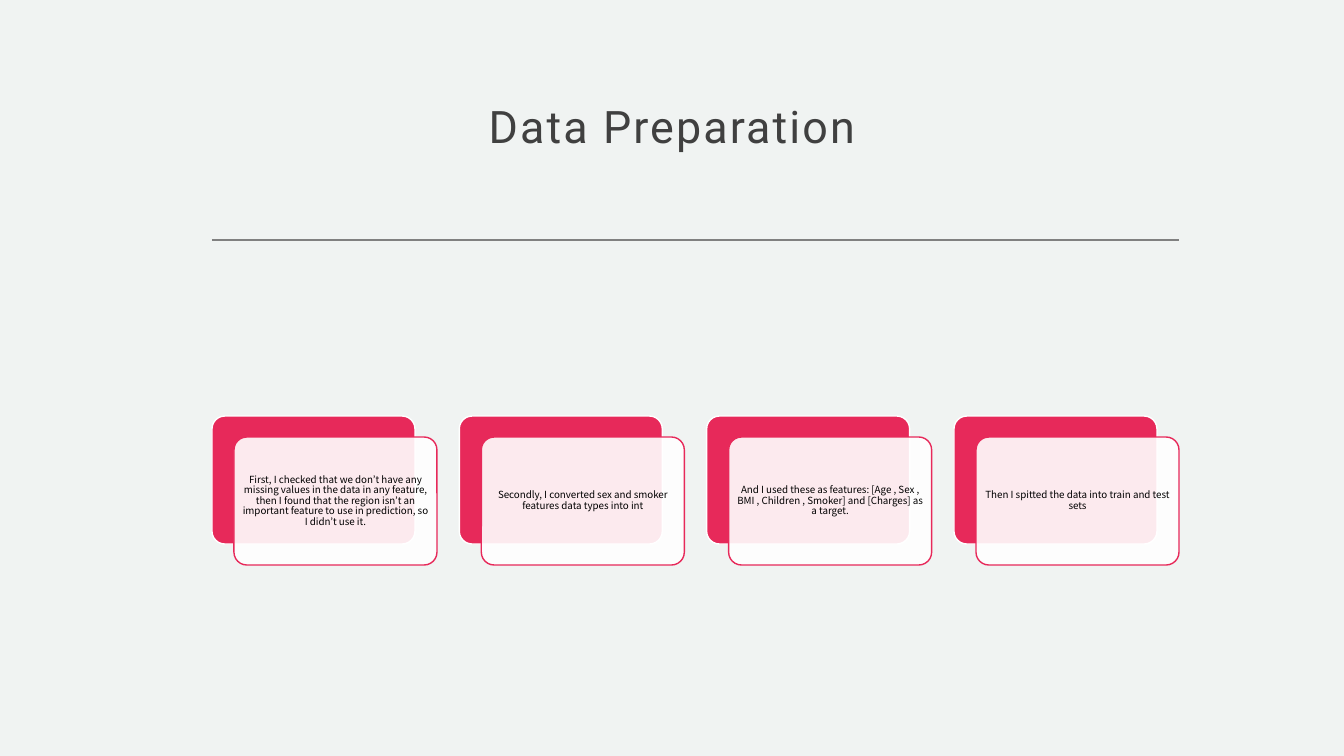
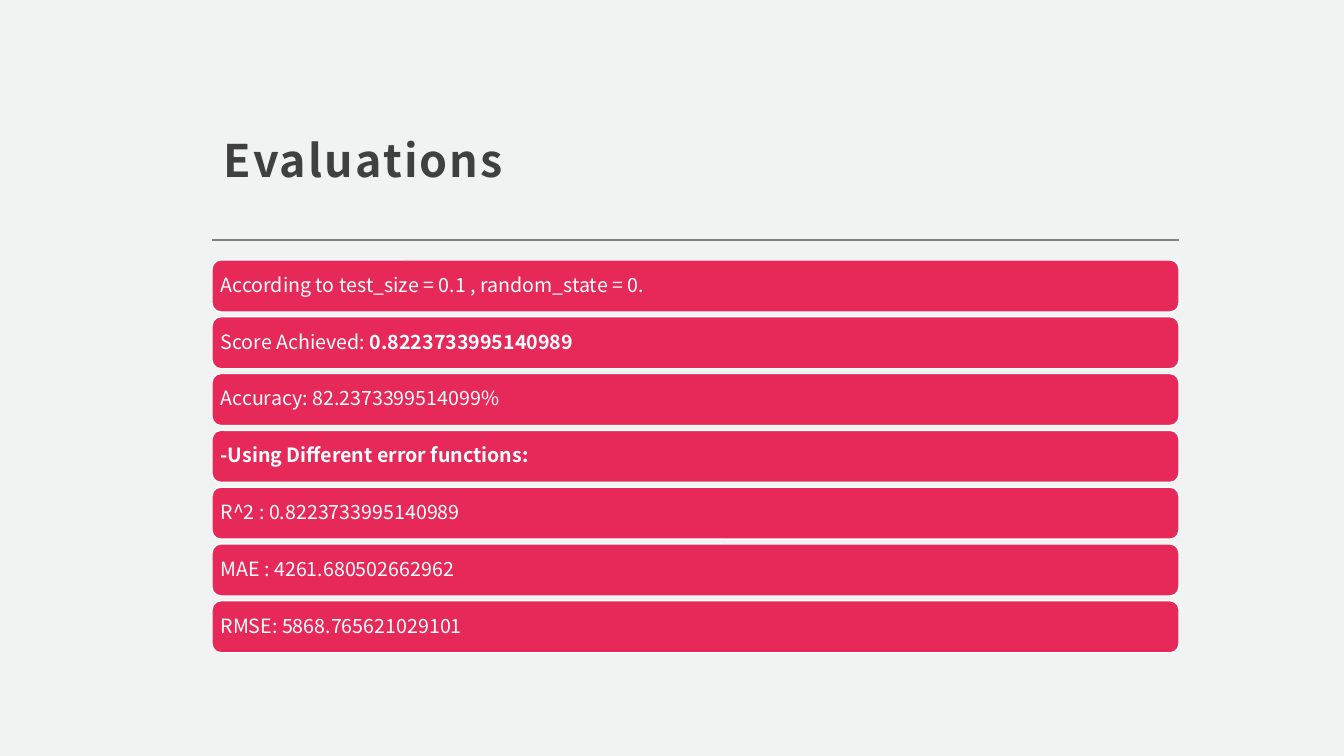
import pptx
import pptx.util
import pptx.dml.color
import pptx.enum.shapes
import pptx.enum.text
import pptx.oxml.ns
import lxml.etree

EMU_PER_PIXEL = 914400 / 100.8
BACKGROUND, ACCENT, WHITE = "F0F3F2", "E7295A", "FFFFFF"
TITLE_COLOR, RULE_COLOR, BLACK = "404040", "808080", "000000"
BODY_FONT, TITLE_FONT = "Noto Sans CJK JP", "Roboto"
LEFT, WIDTH, RULE_Y = 212, 967, 240
ALIGN = pptx.enum.text.PP_ALIGN
ANCHOR = pptx.enum.text.MSO_ANCHOR

PREPARATION_STEPS = [
    "First, I checked that we don’t have any missing values in the data in any feature, "
    "then I found that the region isn’t an important feature to use in prediction, "
    "so I didn’t use it.",
    "Secondly, I converted sex and smoker features data types into int",
    "And I used these as features: [Age , Sex , BMI , Children , Smoker] "
    "and [Charges] as a target.",
    "Then I spitted the data into train and test sets",
]
# Each result is a list of (text, bold) runs.
RESULTS = [
    [("According to test_size = 0.1 , random_state = 0.", False)],
    [("Score Achieved: ", False), ("0.8223733995140989", True)],
    [("Accuracy: 82.2373399514099%", False)],
    [("-Using Different error functions:", True)],
    [("R^2 : 0.8223733995140989", False)],
    [("MAE : 4261.680502662962", False)],
    [("RMSE: 5868.765621029101", False)],
]


def px(*lengths):
    """Convert pixel lengths to a list of EMU lengths."""
    return [pptx.util.Emu(round(length * EMU_PER_PIXEL)) for length in lengths]


def rgb(color):
    """Turn a hex string into a colour."""
    return pptx.dml.color.RGBColor.from_string(color)


def write(shape, runs, size, color, font=BODY_FONT, align=ALIGN.LEFT,
          anchor=ANCHOR.MIDDLE, insets=(6, 6, 6, 6), leading=0.9, tracking=0):
    """Write one paragraph of (text, bold) runs into a shape."""
    frame = shape.text_frame
    frame.word_wrap = True
    frame.vertical_anchor = anchor
    (frame.margin_left, frame.margin_top,
     frame.margin_right, frame.margin_bottom) = px(*insets)
    paragraph = frame.paragraphs[0]
    paragraph.alignment = align
    paragraph.line_spacing = leading
    for text, bold in runs:
        run = paragraph.add_run()
        run.text = text
        run.font.name = font
        run.font.size = pptx.util.Pt(size)
        run.font.bold = bold
        run.font.color.rgb = rgb(color)
        if tracking:
            run.font._element.set("spc", str(round(tracking * 100)))


def add_panel(slide, box, fill, line, corner, opacity=100):
    """Add a rounded rectangle with a 1 pt outline."""
    panel = slide.shapes.add_shape(
        pptx.enum.shapes.MSO_SHAPE.ROUNDED_RECTANGLE, *px(*box))
    panel.shadow.inherit = False
    panel.adjustments[0] = corner
    panel.fill.solid()
    panel.fill.fore_color.rgb = rgb(fill)
    panel.line.color.rgb = rgb(line)
    panel.line.width = pptx.util.Pt(1)
    if opacity < 100:
        fill_color = panel._element.spPr.find(
            pptx.oxml.ns.qn("a:solidFill") + "/" + pptx.oxml.ns.qn("a:srgbClr"))
        alpha = lxml.etree.SubElement(fill_color, pptx.oxml.ns.qn("a:alpha"))
        alpha.set("val", str(opacity * 1000))
    return panel


def add_rule(slide):
    """Add the grey line below the title."""
    rule = slide.shapes.add_connector(
        pptx.enum.shapes.MSO_CONNECTOR.STRAIGHT,
        *px(LEFT, RULE_Y, LEFT + WIDTH, RULE_Y))
    rule.line.color.rgb = rgb(RULE_COLOR)
    rule.line.width = pptx.util.Pt(2)
    lxml.etree.SubElement(rule._element.spPr, pptx.oxml.ns.qn("a:effectLst"))


def add_titled_slide(deck, title, box, bold=False, **text_format):
    """Add a slide with the shared background, rule and title style."""
    slide = deck.slides.add_slide(deck.slide_layouts[6])
    slide.background.fill.solid()
    slide.background.fill.fore_color.rgb = rgb(BACKGROUND)
    add_rule(slide)
    write(slide.shapes.add_textbox(*px(*box)), [(title, bold)], 32, TITLE_COLOR,
          insets=(12, 12, 12, 10), leading=1.3, tracking=1.5, **text_format)
    return slide


def add_step_cards(slide, steps):
    """Add a row of step cards, each a pale panel over an accent panel."""
    top, width, height = 416, 203, 128
    shift_x, shift_y = 22, 21
    pitch = (WIDTH - width - shift_x) / (len(steps) - 1)
    for index, step in enumerate(steps):
        left = LEFT + index * pitch
        add_panel(slide, (left, top, width, height), ACCENT, WHITE, 0.1)
        front = add_panel(slide, (left + shift_x, top + shift_y, width, height),
                          WHITE, ACCENT, 0.1, opacity=90)
        write(front, [(step, False)], 7, BLACK, align=ALIGN.CENTER,
              insets=(3, 3, 3, 3))


def add_result_bars(slide, results):
    """Add a stack of full-width bars, one for each result."""
    top, height, pitch = 260, 52, 56.8
    for index, runs in enumerate(results):
        bar = add_panel(slide, (LEFT, top + index * pitch, WIDTH, height),
                        ACCENT, WHITE, 0.17)
        write(bar, runs, 14, WHITE)


def main():
    """Build and save the deck."""
    deck = pptx.Presentation()
    deck.slide_width, deck.slide_height = px(1344, 756)

    preparation = add_titled_slide(deck, "Data Preparation", (134, 59, 1076, 115),
                                   font=TITLE_FONT, align=ALIGN.CENTER)
    add_step_cards(preparation, PREPARATION_STEPS)

    evaluations = add_titled_slide(deck, "Evaluations", (LEFT, 48, WIDTH, 148),
                                   bold=True, anchor=ANCHOR.BOTTOM)
    add_result_bars(evaluations, RESULTS)

    deck.save("out.pptx")


main()
